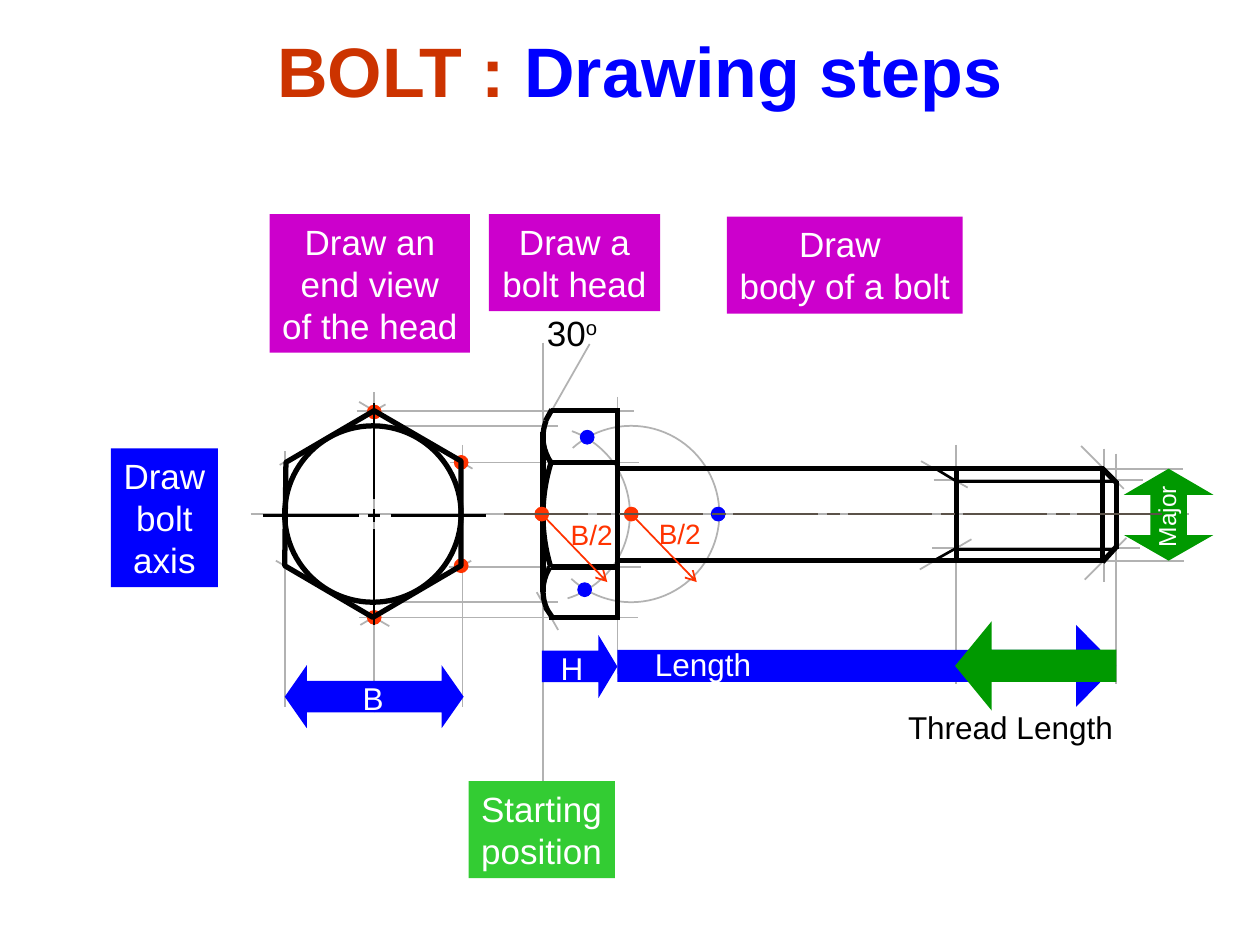
from lxml import etree
from pptx import Presentation
from pptx.dml.color import RGBColor
from pptx.enum.shapes import MSO_CONNECTOR as Link, MSO_SHAPE as Kind
from pptx.enum.text import MSO_ANCHOR as Anchor, MSO_AUTO_SIZE as Fit, PP_ALIGN as Align
from pptx.oxml.ns import qn
from pptx.util import Inches, Pt

BLUE, RED, GREEN, PURPLE = "0000FF", "FF3300", "009900", "CC00CC"
LIME, GREY, BROWN = "33CC33", "B2B2B2", "5B5249"
BLACK, WHITE = "000000", "FFFFFF"
AXIS = 4.08

GUIDES = [
    (2.96, 3.38, 4.43, 3.38), (7.41, 3.81, 9.07, 3.81),
    (2.96, 4.78, 4.43, 4.78), (4.26, 4.7, 4.43, 5),
    (2.97, 5.64, 2.97, 3.11), (8.76, 3.56, 8.76, 4.62),
    (2.85, 4.9, 5.06, 4.9), (2.86, 4.96, 3.74, 4.45),
    (3.67, 3.53, 3.67, 5.61), (2.22, 3.69, 3.06, 3.21),
    (2.26, 3.58, 2.26, 5.61), (3.09, 4.97, 2.19, 4.45),
    (3.75, 3.72, 2.85, 3.19), (1.99, AXIS, 9.44, AXIS),
    (2.83, 3.26, 5.03, 3.26), (4.31, 2.72, 4.31, 6.25),
    (4.9, 3.15, 4.9, 5.35), (3.57, 3.67, 5.07, 3.67),
    (3.56, 4.5, 5.09, 4.5), (4.9, 3.72, 9.39, 3.72),
    (4.9, 4.45, 9.4, 4.45), (8.86, 3.6, 8.86, 5.43),
    (7.59, 3.53, 7.59, 5.43), (7.4, 4.35, 9.05, 4.35),
    (8.92, 3.88, 8.58, 3.54), (8.94, 4.27, 8.61, 4.6),
    (7.68, 3.87, 7.31, 3.66), (7.71, 4.28, 7.3, 4.52),
    (4.31, 3.38, 4.68, 2.73),
]
EDGES = [
    (4.38, 3.67, 4.91, 3.67), (4.37, 4.5, 4.9, 4.5),
    (4.9, 3.24, 4.9, 4.9), (4.9, 3.72, 8.76, 3.72),
    (4.9, 4.45, 8.76, 4.45), (8.75, 3.72, 8.86, 3.83),
    (8.75, 4.46, 8.86, 4.34), (8.86, 3.82, 8.86, 4.36),
    (8.75, 3.72, 8.75, 4.45), (7.59, 3.72, 7.59, 4.45),
    (4.33, 3.34, 4.38, 3.25), (4.33, 4.82, 4.39, 4.91),
    (4.36, 4.9, 4.92, 4.9), (4.37, 3.26, 4.9, 3.26),
    (4.31, 4.7, 4.31, 3.43),
]
THREAD = [
    (8.86, 3.82, 7.59, 3.82), (8.86, 4.36, 7.59, 4.36),
    (7.59, 3.82, 7.41, 3.71), (7.59, 4.35, 7.41, 4.45),
]
CROSS = [
    (2.09, 4.09, 2.85, 4.09), (3.1, 4.09, 3.86, 4.09),
    (2.92, 4.09, 3.02, 4.09), (2.97, 4.96, 2.97, 4.2),
    (2.97, 3.96, 2.97, 3.2), (2.97, 4.14, 2.97, 4.04),
]
HEX = [(226, 449), (296, 490), (366, 449), (366, 366), (297, 326), (227, 367)]


def color(code):
    return RGBColor.from_string(code)


def paint(shape, fill=None, line=None, width=1):
    shape.shadow.inherit = False
    if fill:
        shape.fill.solid()
        shape.fill.fore_color.rgb = color(fill)
    else:
        shape.fill.background()
    if line:
        shape.line.color.rgb = color(line)
        shape.line.width = Pt(width)
    else:
        shape.line.fill.background()


def draw(slide, kind, box, fill=None, line=None, width=1, adjust=()):
    shape = slide.shapes.add_shape(kind, *map(Inches, box))
    paint(shape, fill, line, width)
    for i, value in enumerate(adjust):
        shape.adjustments[i] = value
    return shape


def stroke(slide, ends, tint, width, head=False):
    link = slide.shapes.add_connector(Link.STRAIGHT, *map(Inches, ends))
    link.line.color.rgb = color(tint)
    link.line.width = Pt(width)
    if head:
        etree.SubElement(link.line._get_or_add_ln(), qn("a:tailEnd"), type="arrow")
    etree.SubElement(link._element.spPr, qn("a:effectLst"))


def strokes(slide, rows, tint, width):
    for ends in rows:
        stroke(slide, ends, tint, width)


def arc(slide, x, y, radius, start, end, tint, width):
    box = (x - radius, y - radius, 2 * radius, 2 * radius)
    draw(slide, Kind.ARC, box, None, tint, width, (start * 0.6, end * 0.6))


def dots(slide, points, tint):
    for x, y in points:
        draw(slide, Kind.OVAL, (x - 0.055, y - 0.055, 0.11, 0.11), tint, tint, 0.5)


def write(shape, lines, size, tint, align=Align.CENTER, inset=True):
    frame = shape.text_frame
    frame.word_wrap = False
    frame.auto_size = Fit.SHAPE_TO_FIT_TEXT
    frame.vertical_anchor = Anchor.TOP
    frame.margin_left = frame.margin_right = Inches(0.1 if inset else 0)
    frame.margin_top = frame.margin_bottom = Inches(0.05 if inset else 0)
    frame.text = "\n".join(lines)
    for para in frame.paragraphs:
        para.alignment = align
        para.font.name = "Arial"
        para.font.size = Pt(size)
        para.font.color.rgb = color(tint)
    return frame.paragraphs[0]


def label(slide, box, text, size, tint, **style):
    shape = slide.shapes.add_textbox(*map(Inches, box))
    return shape, write(shape, [text], size, tint, **style)


def step(slide, box, fill, lines, align=Align.CENTER):
    write(draw(slide, Kind.RECTANGLE, box, fill), lines, 20, WHITE, align)


def title(slide):
    shape = slide.shapes.title
    shape.left, shape.top, shape.width, shape.height = map(Inches, (2.1, 0.17, 5.99, 0.77))
    para = write(shape, ["BOLT : "], 40, "CC3300", Align.LEFT)
    para.font.bold = True
    run = para.add_run()
    run.text = "Drawing steps"
    run.font.color.rgb = color(BLUE)


def bolt(slide):
    strokes(slide, GUIDES, GREY, 1)
    arc(slide, 4.3, AXIS, 0.7, 290, 73, GREY, 1)
    arc(slide, 5.01, AXIS, 0.7, 228.5, 132.7, GREY, 1)
    dots(slide, [(2.97, 3.27), (2.97, 4.9), (3.66, 3.67), (3.66, 4.49)], RED)
    strokes(slide, EDGES, BLACK, 3)
    strokes(slide, THREAD, BLACK, 1.5)
    arc(slide, 4.66, 3.47, 0.35, 145.4, 201.5, BLACK, 3)
    arc(slide, 5.71, 4.09, 1.4, 163, 198, BLACK, 3)
    arc(slide, 4.66, 4.69, 0.35, 155, 212.3, BLACK, 3)
    dots(slide, [(4.3, AXIS), (5.01, AXIS)], RED)
    dots(slide, [(5.7, AXIS), (4.66, 3.47), (4.64, 4.68)], BLUE)
    pen = slide.shapes.build_freeform(*HEX[0], scale=Inches(0.01))
    pen.add_line_segments(HEX[1:], close=True)
    paint(pen.convert_to_shape(), None, BLACK, 3)
    draw(slide, Kind.OVAL, (2.26, 3.38, 1.4, 1.4), None, BLACK, 3)
    strokes(slide, CROSS, BLACK, 1.5)


def sizes(slide):
    draw(slide, Kind.LEFT_ARROW, (2.26, 5.28, 0.71, 0.5), BLUE, adjust=(0.5, 0.35))
    draw(slide, Kind.RIGHT_ARROW, (2.97, 5.28, 0.71, 0.5), BLUE, adjust=(0.5, 0.35))
    draw(slide, Kind.RIGHT_ARROW, (4.3, 5.04, 0.6, 0.5), BLUE, adjust=(0.5, 0.3))
    draw(slide, Kind.RIGHT_ARROW, (4.9, 4.96, 3.96, 0.65), BLUE, adjust=(0.39, 0.49))
    draw(slide, Kind.LEFT_ARROW, (7.58, 4.93, 1.28, 0.71), GREEN, adjust=(0.36, 0.41))
    draw(slide, Kind.UP_ARROW, (8.92, 3.72, 0.71, 0.37), GREEN, adjust=(0.41, 0.56))
    draw(slide, Kind.DOWN_ARROW, (8.92, 4.08, 0.71, 0.37), GREEN, adjust=(0.41, 0.55))
    label(slide, (2.78, 5.34, 0.36, 0.4), "B", 18, WHITE, align=Align.LEFT)
    label(slide, (4.35, 5.1, 0.38, 0.4), "H", 18, WHITE)
    label(slide, (5.08, 5.07, 1, 0.4), "Length", 18, WHITE)
    label(slide, (7.08, 5.57, 1.88, 0.4), "Thread Length", 18, BLACK)
    for x, y, left in [(4.3, 4.11, 4.53), (5.01, 4.1, 5.23)]:
        stroke(slide, (x, AXIS, x + 0.52, 4.62), RED, 1, True)
        label(slide, (left, y, 0.36, 0.27), "B/2", 16, RED, align=Align.LEFT, inset=False)
    _, angle = label(slide, (4.24, 2.42, 0.6, 0.44), "30", 20, BLACK)
    ring = angle.add_run()
    ring.text = "o"
    ring._r.get_or_add_rPr().set("baseline", "30000")
    box, major = label(slide, (8.84, 3.93, 0.84, 0.34), "Major ", 14, WHITE)
    box.rotation = 270
    phi = major.add_run()
    phi.text = "φ"
    phi.font.italic = True


def steps(slide):
    step(slide, (0.88, 3.56, 0.85, 1.1), BLUE, ["Draw", "bolt", "axis"])
    step(slide, (2.14, 1.7, 1.59, 1.1), PURPLE, ["Draw an", "end view", "of the head"])
    step(slide, (3.88, 1.7, 1.36, 0.77), PURPLE, ["Draw a", "bolt head"])
    step(slide, (5.77, 1.72, 1.87, 0.77), PURPLE, ["Draw ", "body of a bolt"])
    step(slide, (3.72, 6.2, 1.16, 0.77), LIME, ["Starting", "position"], Align.LEFT)


def axis(slide):
    for first, length, count in [(4, 0.67, 6), (4.74, 0.11, 5)]:
        for i in range(count):
            x = first + 0.91 * i
            stroke(slide, (x, AXIS, x + length, AXIS), BROWN, 1.5)


def main():
    deck = Presentation()
    deck.slide_width, deck.slide_height = Inches(10), Inches(7.5)
    slide = deck.slides.add_slide(deck.slide_layouts[5])
    title(slide)
    bolt(slide)
    steps(slide)
    sizes(slide)
    axis(slide)
    deck.save("out.pptx")


if __name__ == "__main__":
    main()
